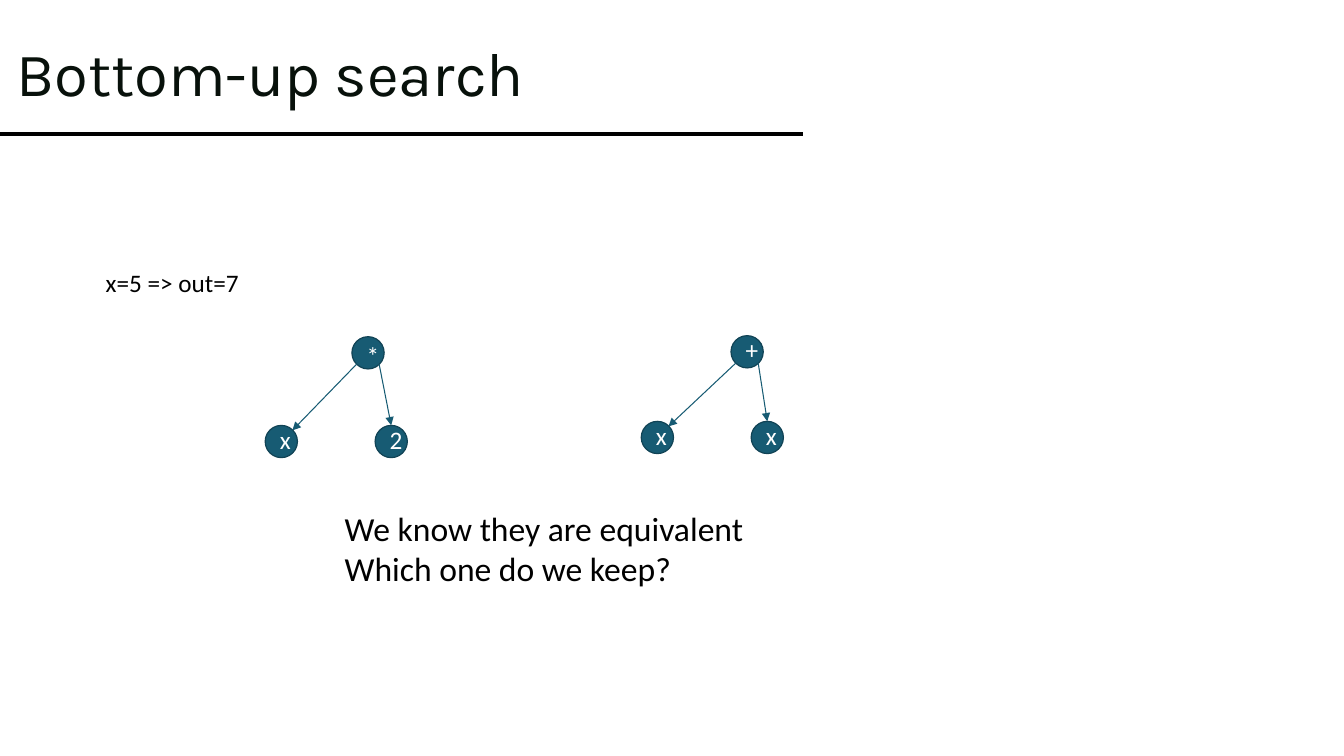
from lxml.etree import SubElement
from pptx import Presentation
from pptx.dml.color import RGBColor
from pptx.enum.shapes import MSO_CONNECTOR, MSO_SHAPE
from pptx.enum.text import MSO_ANCHOR, MSO_AUTO_SIZE, PP_ALIGN
from pptx.oxml.ns import qn
from pptx.util import Inches, Pt

NODE = 0.32
NEAR = 0.05
FAR = NODE - NEAR


def rgb(value):
    """Turn a hex string into a colour."""
    return RGBColor.from_string(value)


def set_attrs(target, **values):
    """Set each named value on the target."""
    for name, value in values.items():
        setattr(target, name, value)


def write(tf, lines, size, color, font="Calibri", **paragraph_format):
    """Write lines as paragraphs in one text format."""
    for i, line in enumerate(lines):
        p = tf.paragraphs[0] if i == 0 else tf.add_paragraph()
        set_attrs(p, **paragraph_format)
        r = p.add_run()
        r.text = line
        set_attrs(r.font, size=Pt(size), name=font)
        r.font.color.rgb = rgb(color)


def add_title(s, text):
    """Fill and place the title placeholder."""
    sp = s.shapes.title
    set_attrs(sp, left=Inches(0.06), top=Inches(0.03), width=Inches(7.51), height=Inches(1.45))
    set_attrs(sp.text_frame, vertical_anchor=MSO_ANCHOR.MIDDLE, word_wrap=True)
    write(sp.text_frame, [text], 44, "08110B", "Karla", alignment=PP_ALIGN.LEFT, line_spacing=0.9)


def add_text(s, box, lines, size):
    """Add an unwrapped text box that fits its text."""
    tf = s.shapes.add_textbox(*map(Inches, box)).text_frame
    set_attrs(tf, word_wrap=False, auto_size=MSO_AUTO_SIZE.SHAPE_TO_FIT_TEXT)
    write(tf, lines, size, "000000")


def add_line(s, start, end, color, width, arrow=False):
    """Add a straight line, with an optional arrowhead at its end."""
    ends = map(Inches, (*start, *end))
    cn = s.shapes.add_connector(MSO_CONNECTOR.STRAIGHT, *ends)
    cn.line.color.rgb = rgb(color)
    cn.line.width = Pt(width)
    if arrow:
        SubElement(cn.line._get_or_add_ln(), qn("a:tailEnd"), type="triangle")
    SubElement(cn._element.spPr, qn("a:effectLst"))


def add_node(s, x, y, label, inset_top=0):
    """Add a round tree node with its label."""
    sp = s.shapes.add_shape(MSO_SHAPE.OVAL, *map(Inches, (x, y, NODE, NODE)))
    sp.shadow.inherit = False
    sp.fill.solid()
    sp.fill.fore_color.rgb = rgb("175B73")
    sp.line.color.rgb = rgb("114355")
    sp.line.width = Pt(0.85)
    set_attrs(sp.text_frame, word_wrap=True, vertical_anchor=MSO_ANCHOR.MIDDLE,
              margin_left=Inches(0.1), margin_right=Inches(0.1),
              margin_top=Inches(inset_top), margin_bottom=Inches(0.05))
    write(sp.text_frame, [label], 18, "FFFFFF", alignment=PP_ALIGN.CENTER)


def add_tree(s, root, left, labels, root_inset=0):
    """Add a root, two children on one level and the arrows to them."""
    right = (left[0] + 1.09, left[1])
    add_node(s, *root, labels[0], root_inset)
    add_node(s, *left, labels[1])
    add_node(s, *right, labels[2])
    x, y = root
    add_line(s, (x + NEAR, y + FAR), (left[0] + FAR, left[1] + NEAR), "175B73", 0.75, True)
    add_line(s, (x + FAR, y + FAR), (right[0] + NODE / 2, right[1]), "175B73", 0.75, True)


def main():
    """Build the slide and save it."""
    prs = Presentation()
    set_attrs(prs, slide_width=Inches(13.33), slide_height=Inches(7.5))
    s = prs.slides.add_slide(prs.slide_layouts[5])
    add_line(s, (0, 1.33), (7.96, 1.33), "000000", 2.25)
    add_title(s, "Bottom-up search")
    add_text(s, (0.95, 2.6, 1.54, 0.4), ["x=5 => out=7"], 18)
    add_tree(s, (3.49, 3.34), (2.63, 4.22), "*x2", 0.1)
    add_tree(s, (7.25, 3.33), (6.36, 4.18), "+xx")
    add_text(s, (3.32, 4.99, 4.2, 0.91),
             ["We know they are equivalent", "Which one do we keep?"], 24)
    prs.save("out.pptx")


if __name__ == "__main__":
    main()
